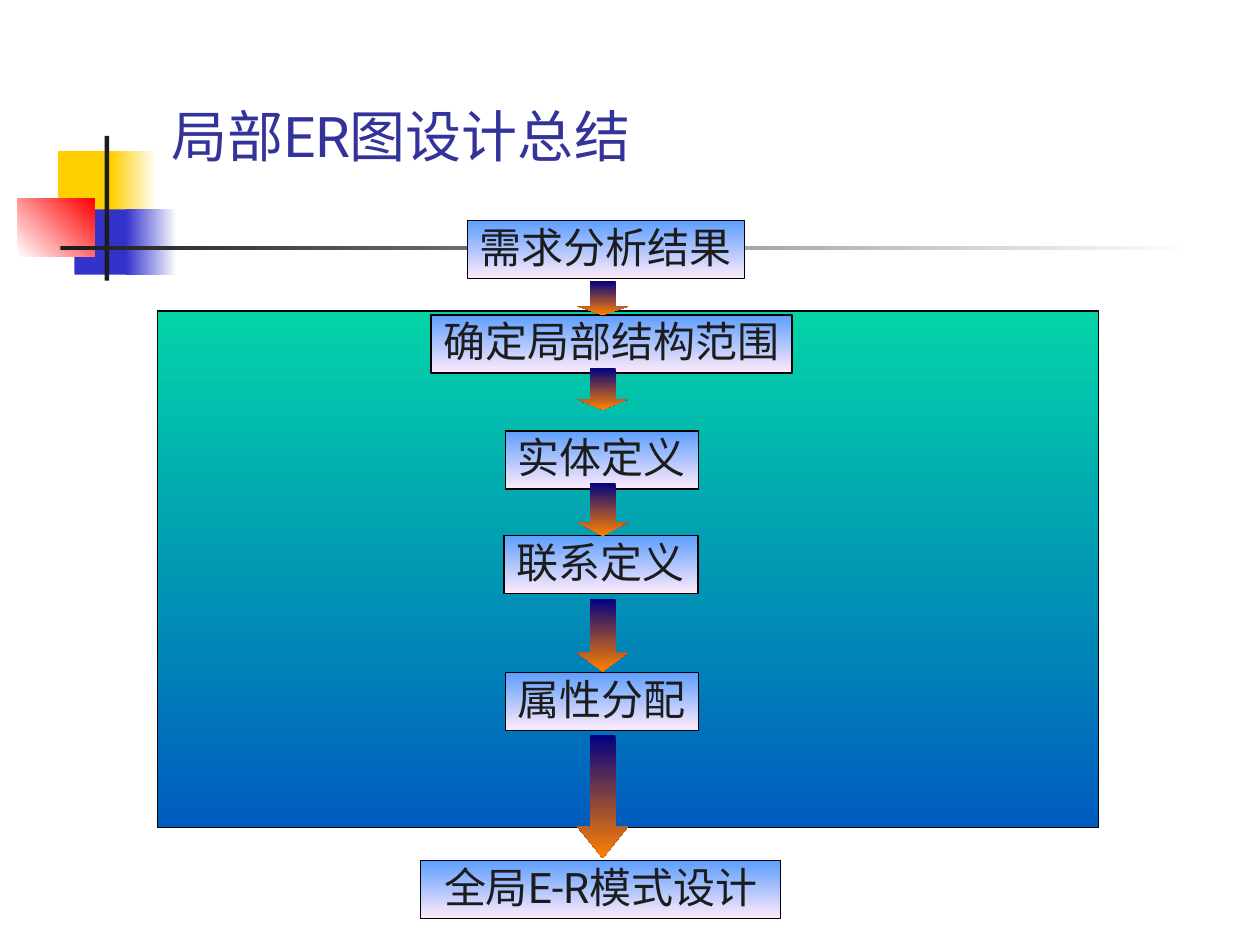
"""Build the slide that sums up local ER diagram design as a flow chart."""
from dataclasses import dataclass
from typing import Optional

from pptx import Presentation
from pptx.dml.color import RGBColor
from pptx.enum.shapes import MSO_SHAPE as Shp
from pptx.enum.text import MSO_ANCHOR as Anchor, MSO_AUTO_SIZE as AutoSize, PP_ALIGN as Align
from pptx.util import Cm, Pt

FONT = "Roboto"
WHITE = RGBColor(0xFF, 0xFF, 0xFF)
BLACK = RGBColor(0x00, 0x00, 0x00)
INK = RGBColor(0x1C, 0x1C, 0x1C)
YELLOW = RGBColor(0xFF, 0xCF, 0x01)
BLUE = RGBColor(0x33, 0x33, 0xCC)
RED = RGBColor(0xFF, 0x00, 0x00)
TITLE = RGBColor(0x33, 0x33, 0x99)
PANEL_TOP = RGBColor(0x03, 0xD4, 0xA8)
PANEL_END = RGBColor(0x00, 0x5C, 0xBF)
BOX_TOP = RGBColor(0x5E, 0x9E, 0xFF)
BOX_END = RGBColor(0xFF, 0xEB, 0xFA)
ARROW_TOP = RGBColor(0x00, 0x00, 0x82)
ARROW_END = RGBColor(0xFF, 0x82, 0x00)

DOWN = 270
BOX_H, BOX_MARGIN = 1.17, 0.15
ARROW_X, ARROW_W = 11.64, 1.02


@dataclass
class Block:
    x: float
    y: float
    w: float
    h: float
    color: RGBColor
    end: Optional[RGBColor] = None
    angle: float = 0
    outlined: bool = False


@dataclass
class Step:
    text: str
    x: float
    y: float
    w: float


@dataclass
class Arrow:
    y: float
    h: float
    head: float


ORNAMENT = [
    Block(1.17, 3.05, 1.22, 1.32, YELLOW),
    Block(2.24, 3.05, 0.91, 1.32, YELLOW, WHITE),
    Block(1.5, 4.22, 1.17, 1.32, BLUE),
    Block(2.54, 4.22, 1.02, 1.32, BLUE, WHITE),
    Block(0.36, 4.01, 1.55, 1.17, WHITE, RED, 45),
    Block(2.11, 2.74, 0.09, 2.92, INK),
    Block(1.22, 4.95, 22.86, 0.09, INK, WHITE),
]
PANEL = Block(3.18, 6.27, 18.97, 10.41, PANEL_TOP, PANEL_END, DOWN, True)
STEPS = [
    Step("需求分析结果", 9.42, 4.45, 5.59),
    Step("确定局部结构范围", 8.69, 6.35, 7.28),
    Step("实体定义", 10.19, 8.69, 3.89),
    Step("联系定义", 10.16, 10.8, 3.91),
    Step("属性分配", 10.19, 13.56, 3.89),
    Step("全局E-R模式设计", 8.48, 17.35, 7.26),
]
ARROWS = [
    Arrow(5.66, 0.69, 0.25),
    Arrow(7.42, 0.84, 0.25),
    Arrow(9.73, 1.07, 0.26),
    Arrow(12.07, 1.47, 0.37),
    Arrow(14.81, 2.49, 0.62),
]


def add_block(s, block: Block, kind=Shp.RECTANGLE):
    sp = s.shapes.add_shape(kind, Cm(block.x), Cm(block.y), Cm(block.w), Cm(block.h))
    sp.shadow.inherit = False
    if block.end is None:
        sp.fill.solid()
        sp.fill.fore_color.rgb = block.color
    else:
        sp.fill.gradient()
        sp.fill.gradient_angle = block.angle
        for stop, color in zip(sp.fill.gradient_stops, (block.color, block.end)):
            stop.color.rgb = color
    if block.outlined:
        sp.line.color.rgb = BLACK
        sp.line.width = Pt(0.75)
    else:
        sp.line.fill.background()
    return sp


def style_text(p, size: float, color: RGBColor, align: Align) -> None:
    p.alignment = align
    for r in p.runs:
        r.font.name = FONT
        r.font.size = Pt(size)
        r.font.color.rgb = color


def add_step(s, step: Step) -> None:
    sp = add_block(s, Block(step.x, step.y, step.w, BOX_H, BOX_TOP, BOX_END, DOWN, True))
    tf = sp.text_frame
    tf.text = step.text
    tf.word_wrap = False
    tf.auto_size = AutoSize.NONE
    tf.vertical_anchor = Anchor.MIDDLE
    tf.margin_left = tf.margin_right = Cm(BOX_MARGIN)
    p = tf.paragraphs[0]
    p.line_spacing = 0.9
    style_text(p, 24, INK, Align.CENTER)


def add_arrow(s, arrow: Arrow) -> None:
    block = Block(ARROW_X, arrow.y, ARROW_W, arrow.h, ARROW_TOP, ARROW_END, DOWN)
    sp = add_block(s, block, Shp.DOWN_ARROW)
    sp.adjustments[0] = 0.5
    sp.adjustments[1] = arrow.head


def add_title(s, text: str) -> None:
    sp = s.shapes.title
    sp.left, sp.top, sp.width, sp.height = Cm(3.2), Cm(1.93), Cm(21.64), Cm(1.6)
    tf = sp.text_frame
    tf.text = text
    tf.auto_size = AutoSize.NONE
    tf.vertical_anchor = Anchor.BOTTOM
    style_text(tf.paragraphs[0], 32, TITLE, Align.LEFT)


def main() -> None:
    prs = Presentation()
    prs.slide_width, prs.slide_height = Cm(25.4), Cm(19.05)
    s = prs.slides.add_slide(prs.slide_layouts[5])
    add_title(s, "局部ER图设计总结")
    for block in [*ORNAMENT, PANEL]:
        add_block(s, block)
    for step in STEPS:
        add_step(s, step)
    for arrow in ARROWS:
        add_arrow(s, arrow)
    prs.save("out.pptx")


if __name__ == "__main__":
    main()
